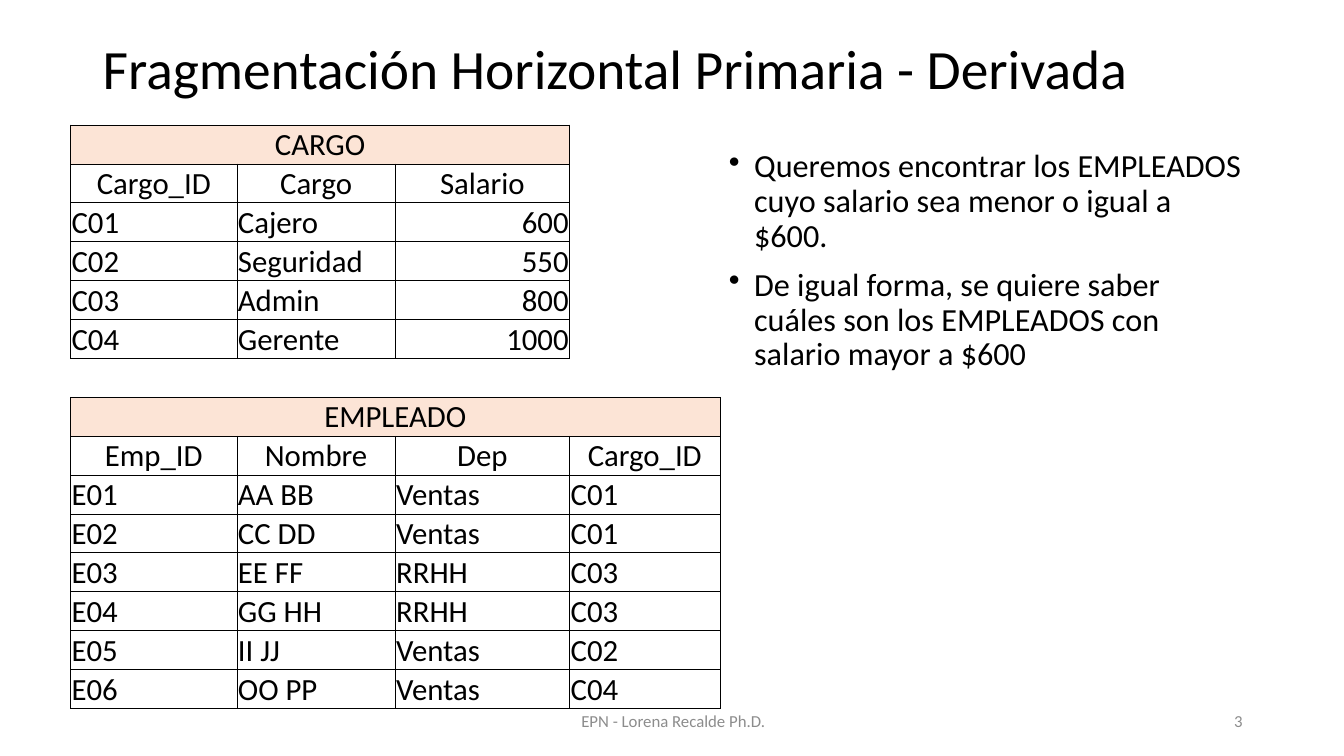
import pptx
import pptx.dml.color
import pptx.enum.text
import pptx.oxml
import pptx.oxml.ns
import pptx.util

WIDTH, HEIGHT = 13.33, 7.5
FONT = "Calibri"
BLACK, GRAY, PEACH = "000000", "8C8C8C", "FCE4D6"
ALIGN = pptx.enum.text.PP_ALIGN
ANCHOR = pptx.enum.text.MSO_ANCHOR
NO_STYLE = "{2D5ABB26-0587-4C30-8999-92F81FD0307C}"

COLUMN_WIDTHS = [1.65, 1.57, 1.73, 1.49]
TABLE_HEIGHT = 5.79
CARGO = [
    ["CARGO"],
    ["Cargo_ID", "Cargo", "Salario"],
    ["C01", "Cajero", "600"],
    ["C02", "Seguridad", "550"],
    ["C03", "Admin", "800"],
    ["C04", "Gerente", "1000"],
]
EMPLEADO = [
    ["EMPLEADO"],
    ["Emp_ID", "Nombre", "Dep", "Cargo_ID"],
    ["E01", "AA BB", "Ventas", "C01"],
    ["E02", "CC DD", "Ventas", "C01"],
    ["E03", "EE FF", "RRHH", "C03"],
    ["E04", "GG HH", "RRHH", "C03"],
    ["E05", "II JJ", "Ventas", "C02"],
    ["E06", "OO PP", "Ventas", "C04"],
]
QUESTIONS = [
    "Queremos encontrar los EMPLEADOS cuyo salario sea menor o igual a $600. ",
    "De igual forma, se quiere saber cuáles son los EMPLEADOS con salario mayor a $600",
]


def inches(value):
    return pptx.util.Inches(value)


def color(hex_code):
    return pptx.dml.color.RGBColor.from_string(hex_code)


def style(para, size, hex_code=BLACK, align=ALIGN.LEFT):
    para.alignment = align
    para.font.name = FONT
    para.font.size = pptx.util.Pt(size)
    para.font.color.rgb = color(hex_code)


def add_bullet(para):
    properties = para._p.get_or_add_pPr()
    properties.set("marL", str(inches(0.25)))
    properties.set("indent", str(-inches(0.25)))
    bullet = pptx.oxml.parse_xml(
        f'<a:buChar {pptx.oxml.ns.nsdecls("a")} char="•"/>')
    properties.insert_element_before(bullet, "a:tabLst", "a:defRPr", "a:extLst")


def add_text(page, area, lines, size, hex_code=BLACK, align=ALIGN.LEFT,
             anchor=ANCHOR.MIDDLE, spacing=1.0, bullets=False):
    """Place a text box; area is left, top, width, height in shares of the slide."""
    left, top, width, height = area
    box = page.shapes.add_textbox(
        inches(left * WIDTH), inches(top * HEIGHT),
        inches(width * WIDTH), inches(height * HEIGHT))
    frame = box.text_frame
    frame.word_wrap = True
    frame.vertical_anchor = anchor
    frame.text = "\n".join(lines)
    for para in frame.paragraphs:
        style(para, size, hex_code, align)
        para.line_spacing = spacing
        if bullets:
            para.space_before = pptx.util.Pt(10)
            add_bullet(para)


def add_borders(cell):
    properties = cell._tc.get_or_add_tcPr()
    for index, side in enumerate(("lnL", "lnR", "lnT", "lnB")):
        properties.insert(index, pptx.oxml.parse_xml(
            f'<a:{side} {pptx.oxml.ns.nsdecls("a")} w="{pptx.util.Pt(0.5)}">'
            f'<a:solidFill><a:srgbClr val="{BLACK}"/></a:solidFill></a:{side}>'))


def add_grid(page, left, top):
    """Add the empty table that holds both relations, with a blank row between."""
    row_count = len(CARGO) + 1 + len(EMPLEADO)
    frame = page.shapes.add_table(
        row_count, len(COLUMN_WIDTHS), inches(left), inches(top),
        inches(sum(COLUMN_WIDTHS)), inches(TABLE_HEIGHT))
    table = frame.table
    table.first_row = table.horz_banding = False
    table._tbl.tblPr.find(pptx.oxml.ns.qn("a:tableStyleId")).text = NO_STYLE
    for column, width in zip(table.columns, COLUMN_WIDTHS):
        column.width = inches(width)
    for row in table.rows:
        row.height = inches(TABLE_HEIGHT / row_count)
    for cell in table.iter_cells():
        cell.fill.background()
        cell.margin_left = cell.margin_right = cell.margin_top = inches(0.01)
        cell.margin_bottom = 0
        cell.vertical_anchor = ANCHOR.BOTTOM
        style(cell.text_frame.paragraphs[0], 22)
    return table


def fill_relation(table, first_row, relation):
    """Write a merged title, a row of headings and the data rows."""
    last_column = len(relation[1]) - 1
    for offset, values in enumerate(relation):
        row = first_row + offset
        for column in range(last_column + 1):
            add_borders(table.cell(row, column))
        for column, value in enumerate(values):
            cell = table.cell(row, column)
            cell.text = value
            align = ALIGN.RIGHT if value.isdigit() else ALIGN.LEFT
            if offset < 2:
                align = ALIGN.CENTER
                cell.vertical_anchor = ANCHOR.MIDDLE
            style(cell.text_frame.paragraphs[0], 22, BLACK, align)
    title = table.cell(first_row, 0)
    title.merge(table.cell(first_row, last_column))
    title.fill.solid()
    title.fill.fore_color.rgb = color(PEACH)


def main():
    deck = pptx.Presentation()
    deck.slide_width, deck.slide_height = inches(WIDTH), inches(HEIGHT)
    page = deck.slides.add_slide(deck.slide_layouts[6])

    # Title and questions
    add_text(page, (0.069, 0.053, 0.863, 0.084),
             ["Fragmentación Horizontal Primaria - Derivada"], 39.6, spacing=0.9)
    add_text(page, (0.535, 0.192, 0.397, 0.388), QUESTIONS, 23,
             anchor=ANCHOR.TOP, spacing=0.9, bullets=True)

    # Footer and page number
    add_text(page, (0.332, 0.927, 0.338, 0.053),
             ["EPN - Lorena Recalde Ph.D."], 12, GRAY, ALIGN.CENTER)
    add_text(page, (0.707, 0.927, 0.225, 0.053), ["3"], 12, GRAY, ALIGN.RIGHT)

    # Relations
    table = add_grid(page, 0.7, 1.24)
    fill_relation(table, 0, CARGO)
    fill_relation(table, len(CARGO) + 1, EMPLEADO)

    deck.save("out.pptx")


main()
